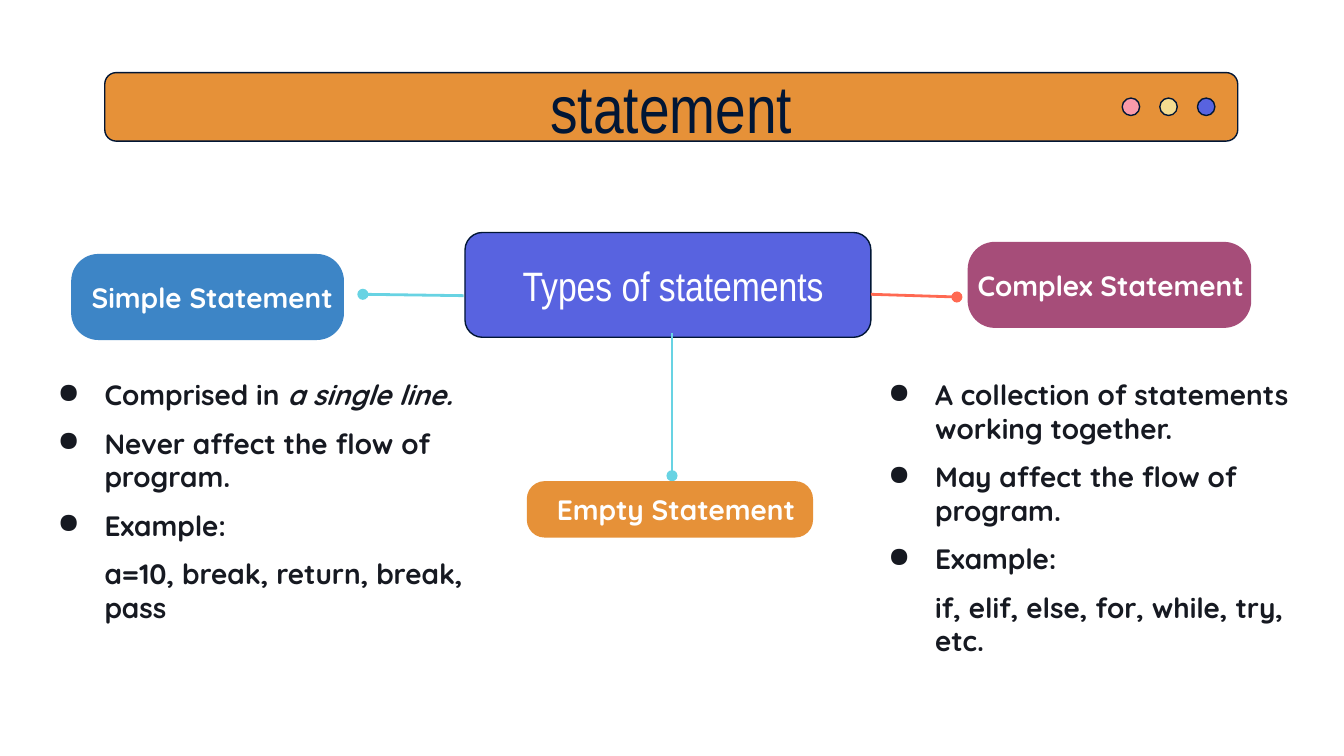
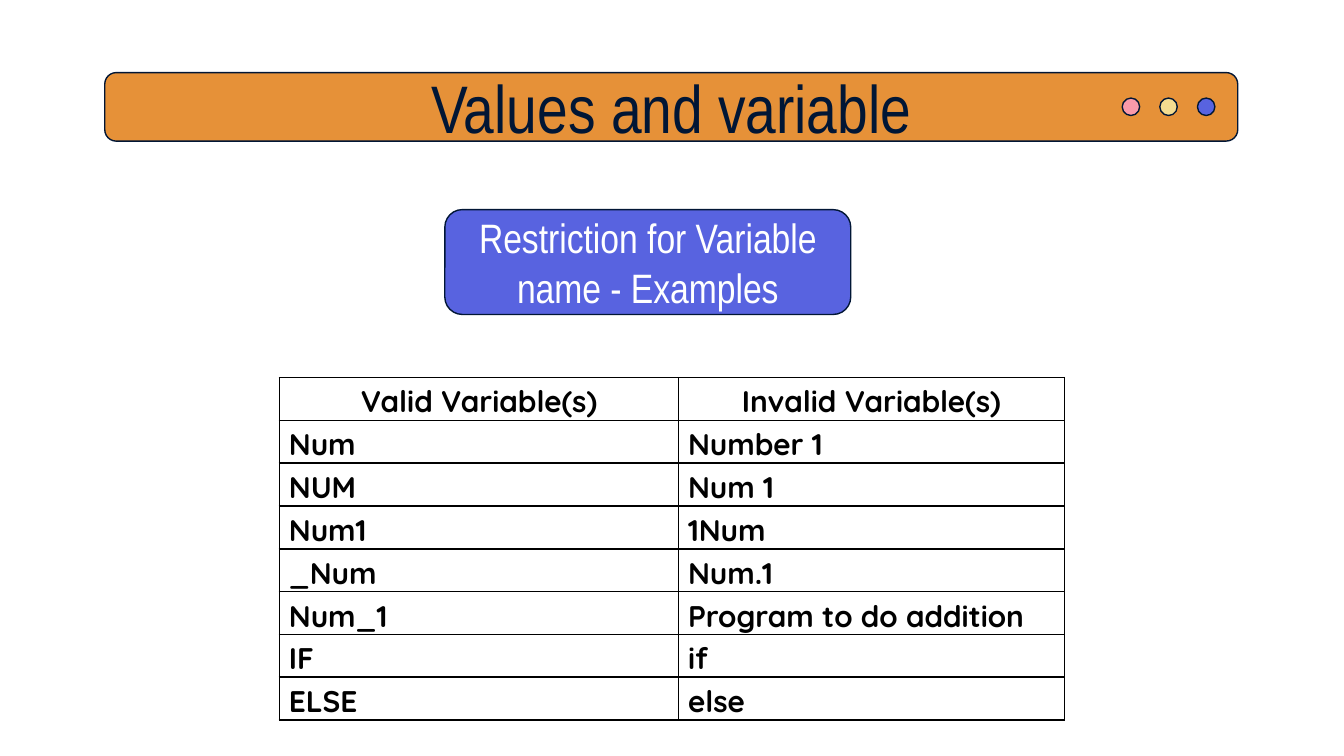
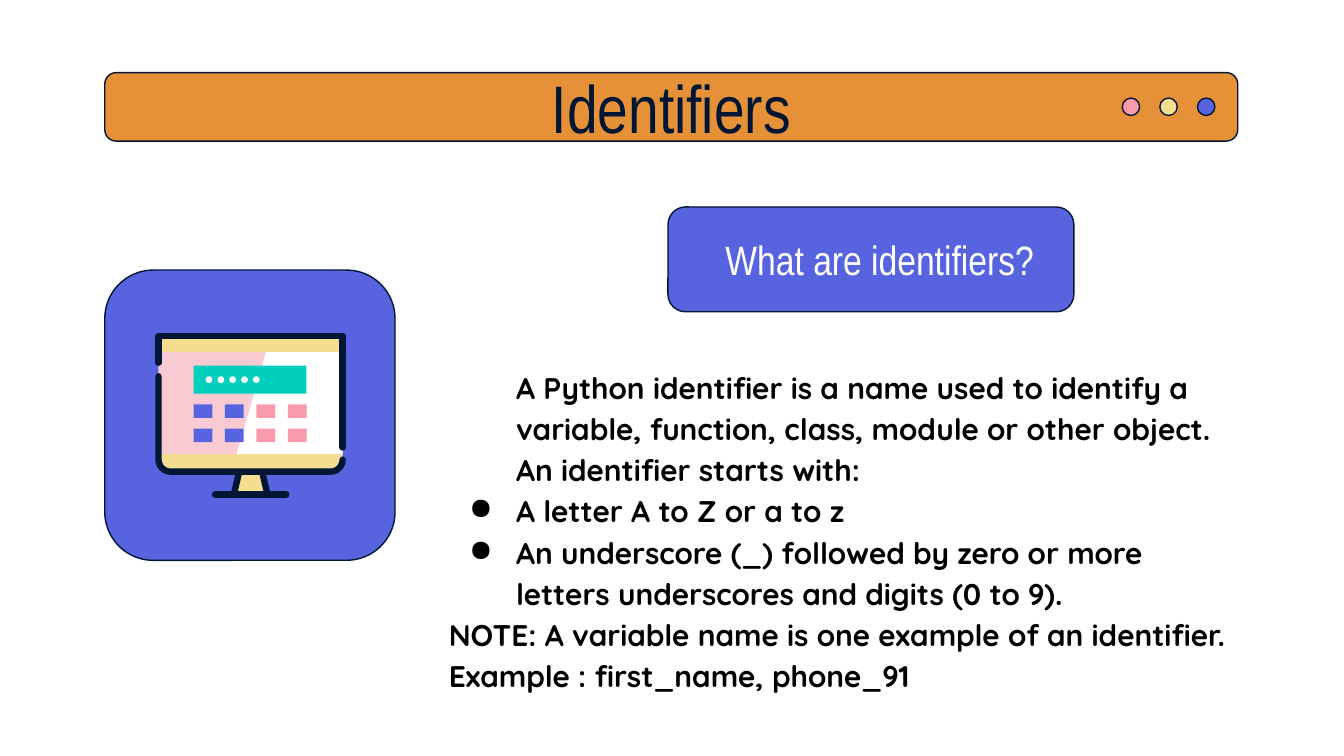
from math import cos, pi, sin

from pptx import Presentation
from pptx.dml.color import RGBColor
from pptx.enum.shapes import MSO_CONNECTOR, MSO_SHAPE
from pptx.enum.text import MSO_ANCHOR, PP_ALIGN
from pptx.oxml.ns import qn
from pptx.util import Inches, Pt
from lxml.etree import SubElement

# The slide is a grid of 100 columns by 56.25 rows of square cells.
CELL = Inches(10) / 100

NAVY = RGBColor(0x01, 0x16, 0x35)
INK = RGBColor(0x16, 0x19, 0x21)
BLACK = RGBColor(0, 0, 0)
WHITE = RGBColor(0xFF, 0xFF, 0xFF)
ORANGE = RGBColor(0xE6, 0x91, 0x38)
INDIGO = RGBColor(0x58, 0x63, 0xE0)
CREAM = RGBColor(0xF4, 0xDC, 0x90)
PINK = RGBColor(0xF9, 0x9A, 0xAA)
BLUSH = RGBColor(0xF9, 0xCA, 0xD2)
TEAL = RGBColor(0x00, 0xCF, 0xBE)
CYAN = RGBColor(0x68, 0xD3, 0xE3)
CORAL = RGBColor(0xFF, 0x69, 0x52)
BLUE = RGBColor(0x3D, 0x85, 0xC6)
PLUM = RGBColor(0xA6, 0x4D, 0x79)

HEAD = "Arial Narrow"
BODY = "Quicksand"

NAMES = [
    ("Valid Variable(s)", "Invalid Variable(s)"),
    ("Num", "Number 1"),
    ("NUM", "Num 1"),
    ("Num1", "1Num"),
    ("_Num", "Num.1"),
    ("Num_1", "Program to do addition"),
    ("IF", "if"),
    ("ELSE", "else"),
]


def grid(*cells):
    return [round(n * CELL) for n in cells]


def say(frame, text, font=BODY, size=15, color=INK, bold=True, align=None,
        indent=0, bullet=False, before=0, spacing=None, slant=""):
    """Add one paragraph; slant is an italic ending."""
    para = frame.paragraphs[0]
    if para.runs:
        para = frame.add_paragraph()
    para.alignment = align
    para.space_before = Pt(before)
    para.line_spacing = spacing
    for part in filter(None, (text, slant)):
        run = para.add_run()
        run.text = part
        run.font.name, run.font.size = font, Pt(size)
        run.font.bold, run.font.italic = bold, part == slant
        run.font.color.rgb = color
    props = para._p.get_or_add_pPr()
    left, hang = grid(indent, -3.5 if bullet else 0)
    props.set("marL", str(left))
    props.set("indent", str(hang))
    if bullet:
        tint = SubElement(props, qn("a:buClr"))
        SubElement(tint, qn("a:srgbClr"), val=str(color))
        SubElement(props, qn("a:buChar"), char="●")


def pad(frame, left=0, top=0, right=0, bottom=0, wrap=True,
        anchor=MSO_ANCHOR.MIDDLE):
    frame.word_wrap = wrap
    frame.vertical_anchor = anchor
    (frame.margin_left, frame.margin_top,
     frame.margin_right, frame.margin_bottom) = grid(left, top, right, bottom)
    return frame


def paint(shape, fill=None, edge=None, width=0.75):
    shape.shadow.inherit = False
    if fill is None:
        shape.fill.background()
    else:
        shape.fill.solid()
        shape.fill.fore_color.rgb = fill
    if edge is None:
        shape.line.fill.background()
    else:
        shape.line.color.rgb = edge
        shape.line.width = Pt(width)
    return shape


def block(slide, kind, box, fill, edge=None, curve=None):
    shape = slide.shapes.add_shape(kind, *grid(*box))
    if curve is not None:
        shape.adjustments[0] = curve
    return paint(shape, fill, edge)


def card(slide, box, fill=INDIGO, edge=NAVY, curve=0.167):
    return block(slide, MSO_SHAPE.ROUNDED_RECTANGLE, box, fill, edge, curve)


def tile(slide, box, fill):
    return block(slide, MSO_SHAPE.RECTANGLE, box, fill)


def dot(slide, left, top, size, fill, edge=None):
    return block(slide, MSO_SHAPE.OVAL, (left, top, size, size), fill, edge)


def outline(slide, points, fill=None, edge=None, width=3.4, close=True):
    start, *rest = [grid(*point) for point in points]
    path = slide.shapes.build_freeform(*start, scale=1.0)
    path.add_line_segments(rest, close=close)
    shape = paint(path.convert_to_shape(), fill, edge, width)
    if edge is not None:
        shape._element.spPr.find(qn("a:ln")).set("cap", "rnd")


def arc(x, y, radius, start, end, steps=6):
    """Points on a circle between two angles in degrees."""
    turns = [(start + (end - start) * i / steps) * pi / 180
             for i in range(steps + 1)]
    return [(x + radius * cos(t), y + radius * sin(t)) for t in turns]


def link(slide, start, end, color, width=1.5, tip="oval"):
    line = slide.shapes.add_connector(
        MSO_CONNECTOR.STRAIGHT, *grid(*start, *end))
    line.line.color.rgb = color
    line.line.width = Pt(width)
    props = line._element.spPr
    stroke = props.find(qn("a:ln"))
    if tip:
        SubElement(stroke, qn("a:tailEnd"), type=tip)
    else:
        stroke.set("cap", "rnd")
    SubElement(props, qn("a:effectLst"))


def panel(slide, left, top, text, center=False):
    frame = card(slide, (left, top, 30.2, 7.8)).text_frame
    pad(frame, left=0 if center else 3.9)
    say(frame, text, font=HEAD, size=22, color=WHITE, bold=False,
        align=PP_ALIGN.CENTER if center else PP_ALIGN.LEFT)


def label(slide, box, text, fill, shift):
    """A coloured tag whose text is pushed right by the shift."""
    frame = card(slide, box, fill, None, 0.316).text_frame
    pad(frame, left=2 * shift, wrap=False)
    say(frame, text, color=WHITE, align=PP_ALIGN.CENTER)


def note(slide, box, **margins):
    return pad(slide.shapes.add_textbox(*grid(*box)).text_frame, **margins)


def points(slide, box, items, sample, slant=""):
    """Bulleted items, then an unmarked sample; slant ends the first item."""
    frame = note(slide, box, left=1, top=1, right=1, bottom=1,
                 anchor=MSO_ANCHOR.TOP)
    for i, item in enumerate(items):
        say(frame, item, indent=5, bullet=True, before=8,
            slant="" if i else slant)
    say(frame, sample, indent=5, before=8)


def page(deck, title):
    slide = deck.slides.add_slide(deck.slide_layouts[6])
    bar = card(slide, (7.8, 5.4, 84.3, 5.1), ORANGE)
    say(pad(bar.text_frame), title, font=HEAD, size=36, color=NAVY,
        bold=False, align=PP_ALIGN.CENTER)
    for i, fill in enumerate((PINK, CREAM, INDIGO)):
        dot(slide, 83.5 + 2.8 * i, 7.3, 1.3, fill, NAVY)
    return slide


def rule(cell):
    """Draw a black border on all four sides of the cell."""
    props = cell._tc.get_or_add_tcPr()
    for i, side in enumerate(("lnL", "lnR", "lnT", "lnB")):
        line = props.makeelement(qn("a:" + side), {"w": str(Pt(1))})
        fill = SubElement(line, qn("a:solidFill"))
        SubElement(fill, qn("a:srgbClr"), val=str(BLACK))
        props.insert(i, line)


def chart(slide, left, top, widths, height, rows):
    """A ruled table with a centred first row."""
    box = grid(left, top, sum(widths), height * len(rows))
    table = slide.shapes.add_table(len(rows), len(widths), *box).table
    table.first_row = table.horz_banding = False
    for column, width in zip(table.columns, grid(*widths)):
        column.width = width
    for r, row in enumerate(rows):
        for c, text in enumerate(row):
            cell = table.cell(r, c)
            cell.fill.background()
            (cell.margin_left, cell.margin_top,
             cell.margin_right, cell.margin_bottom) = grid(0.7, 0, 0.7, 0)
            say(cell.text_frame, text, size=16, color=BLACK, spacing=1.15,
                align=PP_ALIGN.LEFT if r else PP_ALIGN.CENTER)
            rule(cell)


def screen(slide):
    """A monitor with a password field and two rows of keys."""
    foot = [(17.8, 35.1), (17.4, 36.8), (19.9, 36.8), (19.5, 35.1)]
    outline(slide, foot, CREAM, NAVY)
    card(slide, (11.8, 25, 13.7, 10.1), CREAM, None, 0.09)
    tile(slide, (11.8, 26.2, 13.7, 7.6), BLUSH)
    outline(slide, [(19.8, 26.2), (17.6, 33.8), (25.5, 33.8), (25.5, 26.2)],
            WHITE)
    for row in range(2):
        for col in range(4):
            tile(slide, (14.4 + 2.34 * col, 30.1 + 1.8 * row, 1.4, 1),
                 INDIGO if col < 2 else PINK)
    tile(slide, (14.4, 27.2, 8.4, 2.1), TEAL)
    for i in range(5):
        dot(slide, 15.3 + 0.88 * i, 28, 0.5, WHITE)
    outline(slide, [(11.8, 27), (11.8, 25), (25.5, 25), (25.5, 33.3)],
            edge=NAVY, close=False)
    base = arc(12.7, 34.2, 0.9, 180, 90) + arc(24.6, 34.2, 0.9, 90, 0)
    outline(slide, [(11.8, 28), *base], edge=NAVY, close=False)
    link(slide, (16, 36.8), (21.3, 36.8), NAVY, 3.4, None)


def kinds(deck):
    slide = page(deck, "statement")
    panel(slide, 34.6, 17.3, "Types of statements")
    link(slide, (64.8, 21.9), (71.2, 22.1), CORAL)
    link(slide, (34.5, 22), (27, 21.9), CYAN)
    link(slide, (50, 24.8), (50, 35.4), CYAN)
    label(slide, (5.3, 18.9, 20.3, 6.4), "Simple Statement", BLUE, 0.35)
    label(slide, (39.2, 35.8, 21.3, 4.2), "Empty Statement", ORANGE, 0.45)
    label(slide, (72, 18, 21.1, 6.4), "Complex Statement", PLUM, 0.1)
    points(slide, (1.8, 27.1, 34, 21.7),
           ["Comprised in ", "Never affect the flow of program.", "Example:"],
           "a=10, break, return, break, pass", slant="a single line.")
    points(slide, (63.6, 27.1, 34.6, 23.1),
           ["A collection of statements working together.",
            "May affect the flow of program.", "Example:"],
           "if, elif, else, for, while, try, etc.")


def rules(deck):
    slide = page(deck, "Values and variable")
    panel(slide, 33.1, 15.6, "Restriction for Variable name - Examples", True)
    chart(slide, 20.8, 28.1, (29.7, 28.7), 3.1, NAMES)


def idents(deck):
    slide = page(deck, "Identifiers")
    panel(slide, 49.7, 15.4, "What are identifiers?")
    frame = note(slide, (33.4, 26.8, 58.7, 25.1))
    for text, indent, bullet in (
        ("A Python identifier is a name used to identify a variable, "
         "function, class, module or other object.", 5, False),
        ("An identifier starts with:", 5, False),
        ("A letter A to Z or a to z", 5, True),
        ("An underscore (_) followed by zero or more letters underscores "
         "and digits (0 to 9).", 5, True),
        ("NOTE: A variable name is one example of an identifier.", 0, False),
        ("Example : first_name, phone_91", 0, False),
    ):
        say(frame, text, size=16, color=BLACK, spacing=1.15,
            indent=indent, bullet=bullet)
    card(slide, (7.8, 20.1, 21.6, 21.6))
    screen(slide)


def main():
    deck = Presentation()
    deck.slide_width, deck.slide_height = grid(100, 56.25)
    kinds(deck)
    rules(deck)
    idents(deck)
    deck.save("out.pptx")


if __name__ == "__main__":
    main()
